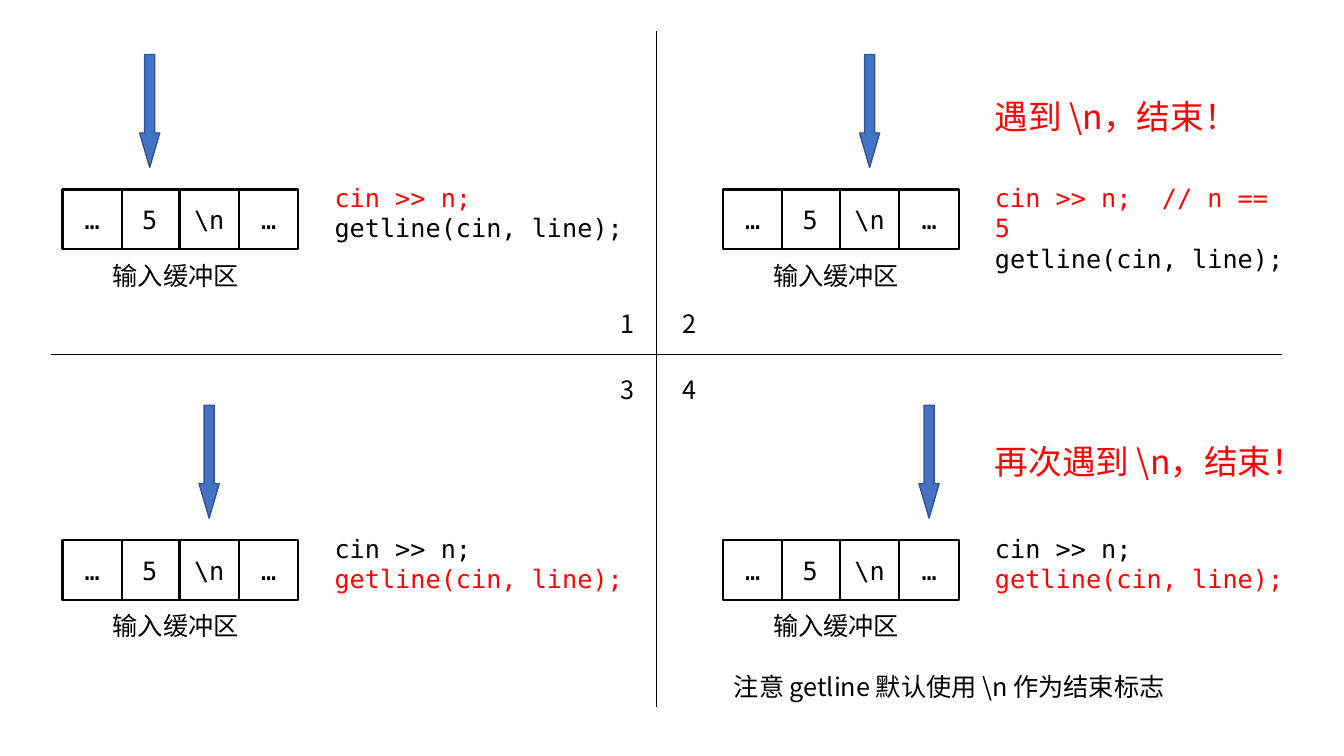
import pptx
import pptx.util
import pptx.dml.color
import pptx.enum.shapes
import pptx.enum.text
import pptx.oxml.ns
from lxml import etree

Inches, Pt = pptx.util.Inches, pptx.util.Pt
RGBColor = pptx.dml.color.RGBColor
MSO_SHAPE = pptx.enum.shapes.MSO_SHAPE
qn = pptx.oxml.ns.qn

BLACK = RGBColor(0x00, 0x00, 0x00)
WHITE = RGBColor(0xFF, 0xFF, 0xFF)
RED = RGBColor(0xFF, 0x00, 0x00)
BLUE = RGBColor(0x44, 0x72, 0xC4)
DARK_BLUE = RGBColor(0x32, 0x54, 0x91)

MONO = "DejaVu Sans Mono"
SANS = "Noto Sans CJK SC"

CELL = 0.59
BUFFER = ["…", "5", "\\n", "…"]
CELL_LEFTS = [0] + [0.57 + CELL * step for step in range(3)]
DRAW_ORDER = [1, 2, 0, 3]  # the first cell overlaps the second
LEFTS = [0.62, 7.17]
TOPS = [0.54, 4.02]
READ = "cin >> n;"
GETLINE = "getline(cin, line);"


def style_paragraph(paragraph, text, font_name, size, color):
    """Fill a paragraph and set its Latin and East Asian font."""
    paragraph.text = text
    paragraph.font.size = Pt(size)
    paragraph.font.color.rgb = color
    paragraph.font.name = font_name
    defaults = paragraph._p.find(qn("a:pPr")).find(qn("a:defRPr"))
    etree.SubElement(defaults, qn("a:ea")).set("typeface", font_name)


def add_text(slide, left, top, width, height, lines, font_name=SANS, size=18):
    """Add a text box with one paragraph per (text, color) line."""
    box = slide.shapes.add_textbox(
        Inches(left), Inches(top), Inches(width), Inches(height))
    frame = box.text_frame
    frame.word_wrap = True
    frame.auto_size = pptx.enum.text.MSO_AUTO_SIZE.SHAPE_TO_FIT_TEXT
    for index, (text, color) in enumerate(lines):
        paragraph = frame.add_paragraph() if index else frame.paragraphs[0]
        style_paragraph(paragraph, text, font_name, size, color)


def add_outlined(slide, preset, left, top, width, height, fill, line, weight):
    """Add a filled, outlined preset shape without shadow."""
    shape = slide.shapes.add_shape(
        preset, Inches(left), Inches(top), Inches(width), Inches(height))
    shape.shadow.inherit = False
    shape.fill.solid()
    shape.fill.fore_color.rgb = fill
    shape.line.color.rgb = line
    shape.line.width = Pt(weight)
    return shape


def add_buffer(slide, left, top):
    """Draw the row of input buffer cells and its caption."""
    for index in DRAW_ORDER:
        cell = add_outlined(slide, MSO_SHAPE.RECTANGLE, left + CELL_LEFTS[index],
                            top, CELL, CELL, WHITE, BLACK, 1.5)
        cell.text_frame.vertical_anchor = pptx.enum.text.MSO_ANCHOR.MIDDLE
        paragraph = cell.text_frame.paragraphs[0]
        style_paragraph(paragraph, BUFFER[index], MONO, 18, BLACK)
        paragraph.alignment = pptx.enum.text.PP_ALIGN.CENTER
    add_text(slide, left + 0.4, top + 0.65, 1.56, 0.4, [("输入缓冲区", BLACK)])


def add_step(slide, left, top, pointed_cell, code):
    """Draw one quadrant: buffer, read pointer and code."""
    add_buffer(slide, left, top + 1.34)
    pointer_left = left + CELL_LEFTS[pointed_cell] + (CELL - 0.2) / 2
    pointer = add_outlined(slide, MSO_SHAPE.DOWN_ARROW, pointer_left, top,
                           0.2, 1.12, BLUE, DARK_BLUE, 1)
    pointer.adjustments[0] = 0.5
    pointer.adjustments[1] = 1.705
    add_text(slide, left + 2.6, top + 1.22, 3.06, 0.71, code, MONO)


def add_divider(slide, x1, y1, x2, y2):
    """Draw a thin black line between quadrants."""
    divider = slide.shapes.add_connector(
        pptx.enum.shapes.MSO_CONNECTOR.STRAIGHT,
        Inches(x1), Inches(y1), Inches(x2), Inches(y2))
    divider.line.color.rgb = BLACK
    divider.line.width = Pt(0.5)
    etree.SubElement(divider._element.spPr, qn("a:effectLst"))


def add_grid(slide):
    """Draw the dividers and number the four quadrants."""
    add_divider(slide, 0.51, 3.52, 12.72, 3.52)
    add_divider(slide, 6.51, 0.31, 6.51, 7.01)
    corners = [(x, y) for y in (3.01, 3.66) for x in (6.06, 6.67)]
    for number, (left, top) in enumerate(corners, 1):
        add_text(slide, left, top, 0.56, 0.4, [(str(number), BLACK)])


def build_slide(slide):
    """Place the four reading steps, their remarks and the grid."""
    steps = [
        (1, [(READ, RED), (GETLINE, BLACK)]),
        (2, [(READ + "  // n == 5", RED), (GETLINE, BLACK)]),
        (2, [(READ, BLACK), (GETLINE, RED)]),
        (3, [(READ, BLACK), (GETLINE, RED)]),
    ]
    origins = [(left, top) for top in TOPS for left in LEFTS]
    for (left, top), (pointed_cell, code) in zip(origins, steps):
        add_step(slide, left, top, pointed_cell, code)
    add_text(slide, 9.77, 0.9, 2.72, 0.5, [("遇到 \\n，结束！", RED)], size=24)
    add_text(slide, 9.77, 4.33, 3.19, 0.5, [("再次遇到 \\n，结束！", RED)], size=24)
    add_grid(slide)
    add_text(slide, 7.18, 6.61, 6.15, 0.4,
             [("注意 getline 默认使用 \\n 作为结束标志", BLACK)])


presentation = pptx.Presentation()
presentation.slide_width = Inches(13.33)
presentation.slide_height = Inches(7.5)
build_slide(presentation.slides.add_slide(presentation.slide_layouts[6]))
presentation.save("out.pptx")
